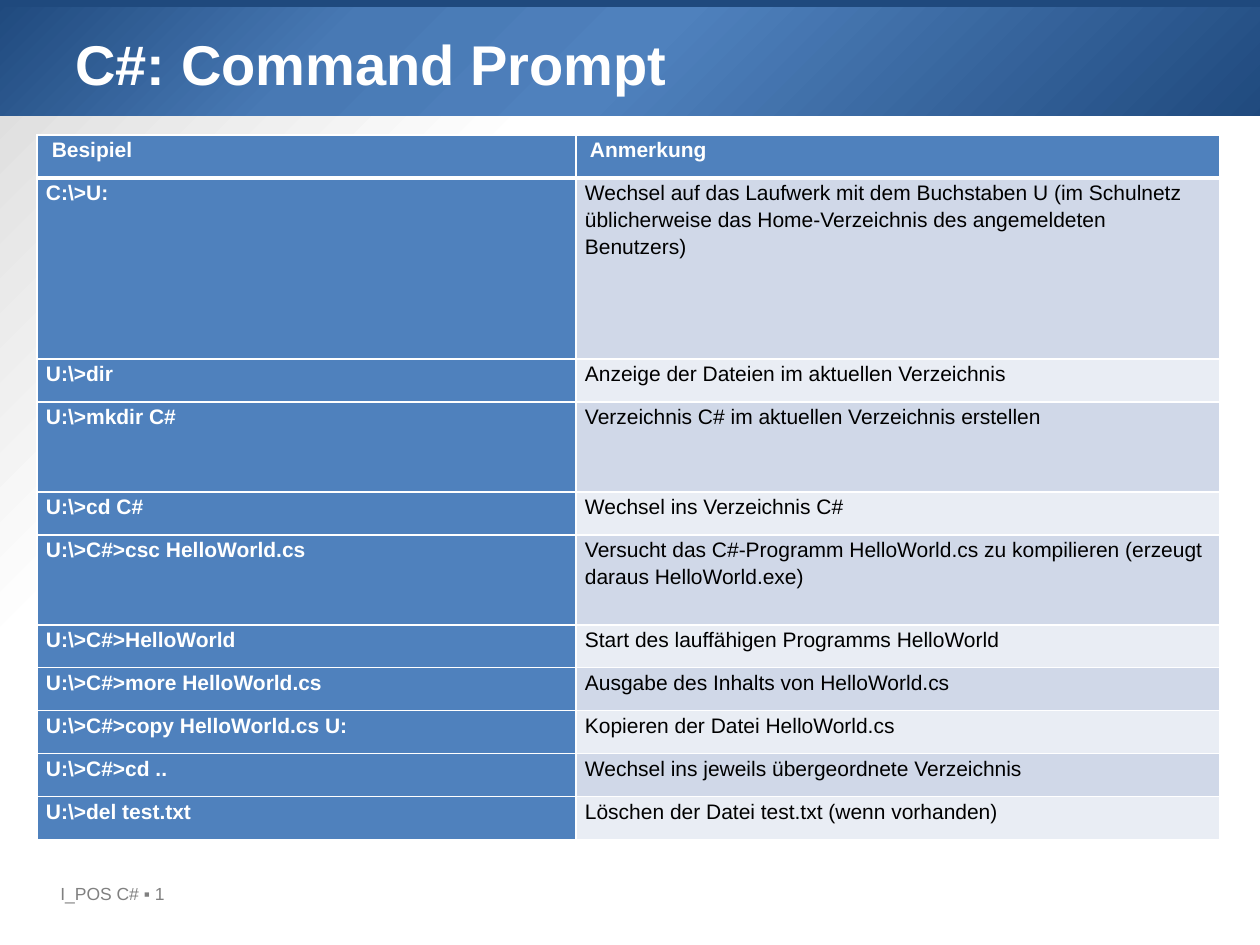
import pptx
import pptx.dml.color
import pptx.enum.shapes
import pptx.oxml
import pptx.oxml.ns
import pptx.util
from dataclasses import dataclass

EMU_PER_PX = 914400 / 126


@dataclass(frozen=True)
class Theme:
    """Colours, gradients and type sizes of the slide."""
    font: str = "Arial"
    navy: str = "1F497D"
    blue: str = "4F81BD"
    white: str = "FFFFFF"
    black: str = "000000"
    grey: str = "808080"
    bands: tuple = ("D0D8E8", "E9EDF4")
    header_stops: tuple = ((0, "1F497D"), (27, "4879B4"), (50, "4F81BD"), (100, "1F497D"))
    page_stops: tuple = ((70, "FFFFFF"), (100, "D9D9D9"))
    title_size: int = 32
    table_size: int = 12
    footer_size: int = 10


THEME = Theme()
COLUMN_WIDTHS = (539, 644)
ROWS = (
    (43, " Besipiel", " Anmerkung"),
    (181, "C:\\>U:", "Wechsel auf das Laufwerk mit dem Buchstaben U (im Schulnetz "
     "üblicherweise das Home-Verzeichnis des angemeldeten Benutzers)"),
    (43, "U:\\>dir", "Anzeige der Dateien im aktuellen Verzeichnis"),
    (90, "U:\\>mkdir C#", "Verzeichnis C# im aktuellen Verzeichnis erstellen"),
    (43, "U:\\>cd C#", "Wechsel ins Verzeichnis C#"),
    (90, "U:\\>C#>csc HelloWorld.cs", "Versucht das C#-Programm HelloWorld.cs zu "
     "kompilieren (erzeugt daraus HelloWorld.exe)"),
    (43, "U:\\>C#>HelloWorld", "Start des lauffähigen Programms HelloWorld"),
    (43, "U:\\>C#>more HelloWorld.cs", "Ausgabe des Inhalts von HelloWorld.cs"),
    (43, "U:\\>C#>copy HelloWorld.cs U:", "Kopieren der Datei HelloWorld.cs"),
    (43, "U:\\>C#>cd ..", "Wechsel ins jeweils übergeordnete Verzeichnis"),
    (43, "U:\\>del test.txt", "Löschen der Datei test.txt (wenn vorhanden)"),
)


def px(length):
    """Turn pixels into EMU."""
    return pptx.util.Emu(round(length * EMU_PER_PX))


def rgb(value):
    """Turn a hex string into a colour."""
    return pptx.dml.color.RGBColor.from_string(value)


def apply(target, values):
    """Set every attribute named in the dict."""
    for name, value in values.items():
        setattr(target, name, value)


def write(paragraph, text, size, color, bold=False):
    """Fill a paragraph with one formatted run."""
    run = paragraph.add_run()
    run.text = text
    apply(run.font, {"name": THEME.font, "size": pptx.util.Pt(size), "bold": bold})
    run.font.color.rgb = rgb(color)


def paint_gradient(owner, fill, stops, focus):
    """Give a fill a circular gradient centred on one corner."""
    fill.gradient()
    linear = owner.xpath(".//a:gradFill")[0]
    marks = "".join(
        f'<a:gs pos="{position * 1000}"><a:srgbClr val="{color}"/></a:gs>'
        for position, color in stops)
    edges = " ".join(f'{edge}="100000"' for edge in focus)
    circular = pptx.oxml.parse_xml(
        f'<a:gradFill {pptx.oxml.ns.nsdecls("a")} rotWithShape="1">'
        f'<a:gsLst>{marks}</a:gsLst>'
        f'<a:path path="circle"><a:fillToRect {edges}/></a:path></a:gradFill>')
    linear.getparent().replace(linear, circular)


def add_band(slide, box):
    """Add a borderless rectangle without shadow."""
    band = slide.shapes.add_shape(
        pptx.enum.shapes.MSO_SHAPE.RECTANGLE, *map(px, box))
    band.shadow.inherit = False
    band.line.fill.background()
    return band


def add_text(slide, box, text, size, color, bold=False, inset_top=6):
    """Add a wrapping one-line text box."""
    frame = slide.shapes.add_textbox(*map(px, box)).text_frame
    apply(frame, {"word_wrap": True, "margin_top": px(inset_top)})
    write(frame.paragraphs[0], text, size, color, bold)


def add_borders(cell, widths):
    """Draw white borders of the given widths on a cell."""
    properties = cell._tc.get_or_add_tcPr()
    for side, width in widths.items():
        properties.append(pptx.oxml.parse_xml(
            f'<a:ln{side} {pptx.oxml.ns.nsdecls("a")} w="{pptx.util.Pt(width)}">'
            f'<a:solidFill><a:srgbClr val="{THEME.white}"/></a:solidFill></a:ln{side}>'))


def fill_cell(cell, text, row, column):
    """Write and colour a cell according to its place in the table."""
    strong = row == 0 or column == 0
    apply(cell, {"margin_left": px(9), "margin_right": px(9),
                 "margin_top": 0, "margin_bottom": 0})
    add_borders(cell, {"L": 1, "R": 1, "T": 3 if row == 1 else 1,
                       "B": 3 if row == 0 else 1})
    cell.fill.solid()
    cell.fill.fore_color.rgb = rgb(THEME.blue if strong else THEME.bands[(row - 1) % 2])
    paragraph = cell.text_frame.paragraphs[0]
    apply(paragraph, {"line_spacing": 1.15, "space_after": pptx.util.Pt(10)})
    write(paragraph, text, THEME.table_size,
          THEME.white if strong else THEME.black, strong)


def add_command_table(slide, left, top):
    """Add the table of commands and remarks."""
    heights = [height for height, *_ in ROWS]
    table = slide.shapes.add_table(
        len(ROWS), len(COLUMN_WIDTHS), px(left), px(top),
        px(sum(COLUMN_WIDTHS)), px(sum(heights))).table
    apply(table, {"first_col": True, "horz_banding": False})
    for column, width in zip(table.columns, COLUMN_WIDTHS):
        column.width = px(width)
    for row, (height, *texts) in enumerate(ROWS):
        table.rows[row].height = px(height)
        for column, text in enumerate(texts):
            fill_cell(table.cell(row, column), text, row, column)


def main():
    """Build and save the slide."""
    deck = pptx.Presentation()
    apply(deck, {"slide_width": px(1260), "slide_height": px(945)})
    slide = deck.slides.add_slide(deck.slide_layouts[6])
    paint_gradient(slide.element, slide.background.fill, THEME.page_stops, "lt")

    header = add_band(slide, (-1, -1, 1275, 117))
    paint_gradient(header.element, header.fill, THEME.header_stops, "rb")
    top_strip = add_band(slide, (-1, -4, 1275, 11))
    top_strip.fill.solid()
    top_strip.fill.fore_color.rgb = rgb(THEME.navy)

    add_text(slide, (48, 877, 234, 33), "I_POS C# ▪ 1", THEME.footer_size, THEME.grey)
    add_text(slide, (63, 18, 1134, 158), "C#: Command Prompt",
             THEME.title_size, THEME.white, bold=True, inset_top=11)
    add_command_table(slide, 37, 135)
    deck.save("out.pptx")


if __name__ == "__main__":
    main()
